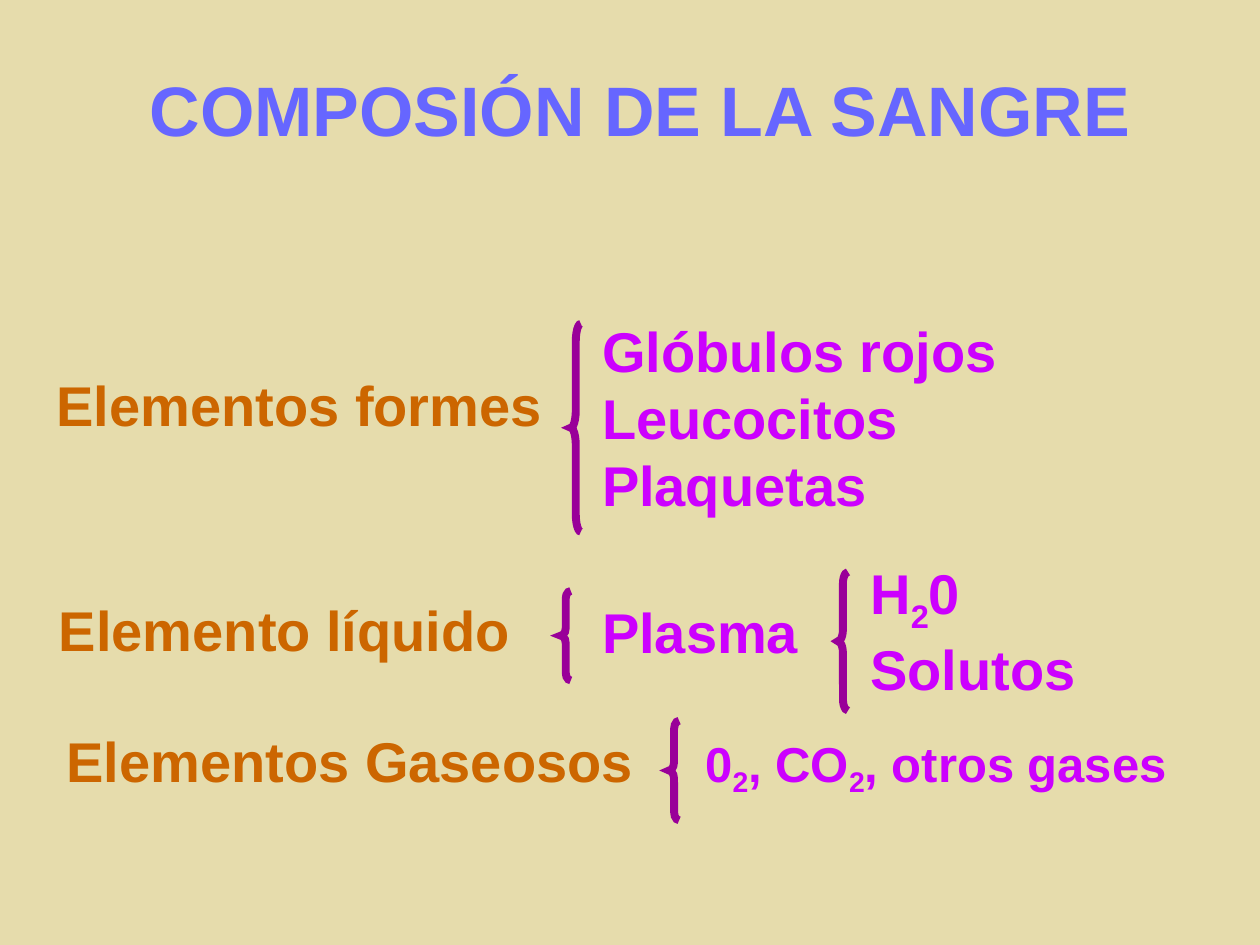
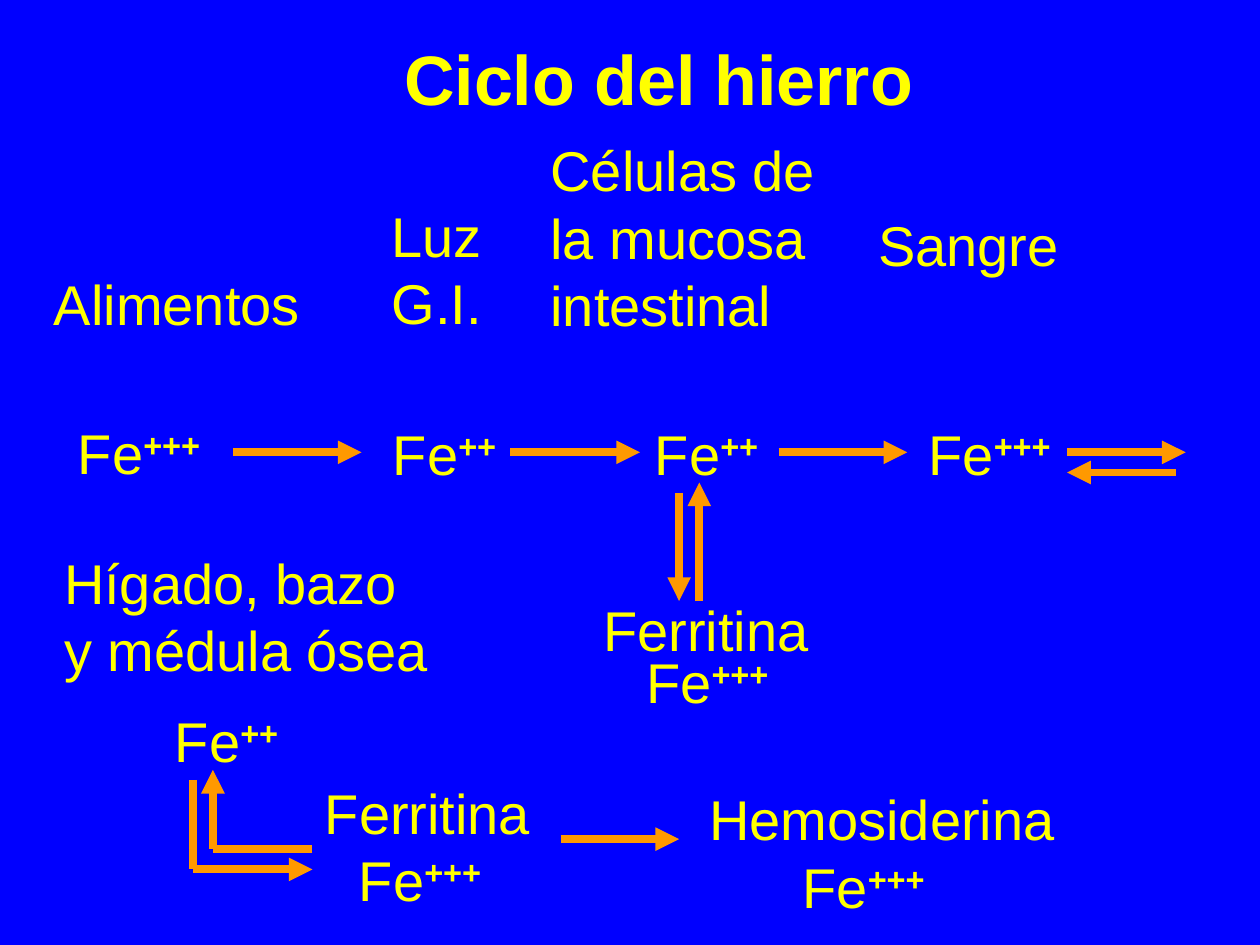
from lxml.etree import SubElement
from pptx import Presentation
from pptx.dml.color import RGBColor
from pptx.enum.shapes import MSO_CONNECTOR, MSO_SHAPE
from pptx.enum.text import MSO_AUTO_SIZE, MSO_VERTICAL_ANCHOR
from pptx.oxml.ns import qn
from pptx.util import Inches, Pt

FONT = "Arial"
TITLE_SIZE, BODY_SIZE, SMALL_SIZE = 40, 32, 28
LINE_WIDTH = 4.5
WIDTH_SLACK = 0.02  # keeps a label that just fits from breaking
COLOURS = {
    "sand": "E6DCAC", "periwinkle": "6666FF", "ochre": "CC6600",
    "violet": "CC00FF", "purple": "990099",
    "blue": "0000FF", "yellow": "FFFF00", "orange": "FF9900",
}

# A line of text is a list of (text, baseline shift in percent) runs.
WATER = [("H", 0), ("2", -25), ("0", 0)]
GASES = [("0", 0), ("2", -20), (", CO", 0), ("2", -20), (", otros gases", 0)]
FERROUS = [("Fe", 0), ("++", 30)]
FERRIC = [("Fe", 0), ("+++", 30)]

# Titles: left, top, width, text
BLOOD_TITLE = (1.09, 0.48, 8, "COMPOSIÓN DE LA SANGRE")
IRON_TITLE = (3.11, 0.23, 4.24, "Ciclo del hierro")

# Blood labels: left, top, width, size, colour, lines
BLOOD_LABELS = [
    (0.35, 2.89, 4.06, BODY_SIZE, "ochre", ["Elementos formes"]),
    (4.68, 2.46, 3.34, BODY_SIZE, "violet", ["Glóbulos rojos", "Leucocitos", "Plaquetas"]),
    (0.37, 4.68, 3.78, BODY_SIZE, "ochre", ["Elemento líquido"]),
    (4.68, 4.69, 1.76, BODY_SIZE, "violet", ["Plasma"]),
    (6.81, 4.38, 1.83, BODY_SIZE, "violet", [WATER, "Solutos"]),
    (0.43, 5.72, 4.7, BODY_SIZE, "ochre", ["Elementos Gaseosos"]),
    (5.5, 5.77, 3.86, SMALL_SIZE, "violet", [GASES]),
]
# Braces: left, top, height
BRACE_WIDTH = 0.08
BRACES = [(4.53, 2.57, 1.65), (4.45, 4.69, 0.71), (6.65, 4.54, 1.1), (5.31, 5.72, 0.79)]

# Iron labels: left, top, width, lines
ION_INDENT = 0.74
IRON_LABELS = [
    (0.33, 2.09, 2.15, ["Alimentos"]),
    (3.01, 1.55, 0.91, ["Luz", "G.I."]),
    (4.27, 1.03, 2.3, ["Células de", "la mucosa", "intestinal"]),
    (6.87, 1.62, 1.63, ["Sangre"]),
    (4.69, 4.68, 1.83, ["Ferritina"]),
    (0.41, 4.3, 3.09, ["Hígado, bazo", "y médula ósea"]),
    (2.48, 6.13, 1.83, ["Ferritina"]),
    (5.53, 6.18, 2.94, ["Hemosiderina", FERRIC]),
]
# Iron ions: left, top, ion
ION_WIDTHS = {"++": 1.02, "+++": 1.17}
IONS = [
    (0.52, 3.27, FERRIC), (3.02, 3.28, FERROUS), (5.1, 3.28, FERROUS), (7.27, 3.28, FERRIC),
    (5.03, 5.09, FERRIC), (1.29, 5.56, FERROUS), (2.75, 6.66, FERRIC),
]
# Routes: corner points, with an arrowhead at the last one
CYCLE_Y = 3.59
ROUTES = [
    *[[(start, CYCLE_Y), (end, CYCLE_Y)]
      for start, end in [(1.85, 2.87), (4.05, 5.08), (6.18, 7.2), (8.47, 9.41)]],
    [(9.33, 3.75), (8.47, 3.75)],
    [(5.39, 3.91), (5.39, 4.77)],
    [(5.55, 4.77), (5.55, 3.83)],
    [(1.53, 6.19), (1.53, 6.9), (2.48, 6.9)],
    [(2.48, 6.74), (1.69, 6.74), (1.69, 6.11)],
    [(4.45, 6.66), (5.39, 6.66)],
]


def rgb(colour):
    return RGBColor.from_string(COLOURS[colour])


def add_slide(presentation, background):
    slide = presentation.slides.add_slide(presentation.slide_layouts[6])
    slide.background.fill.solid()
    slide.background.fill.fore_color.rgb = rgb(background)
    return slide


def add_label(slide, left, top, width, size, colour, lines, bold=False, ion_indent=0):
    """Add a text box; ion_indent shifts ion lines that follow a name."""
    height = 0.1 + len(lines) * size / 60
    box = slide.shapes.add_textbox(Inches(left), Inches(top),
                                   Inches(width + WIDTH_SLACK), Inches(height))
    frame = box.text_frame
    frame.word_wrap = False
    frame.auto_size = MSO_AUTO_SIZE.SHAPE_TO_FIT_TEXT
    frame.vertical_anchor = MSO_VERTICAL_ANCHOR.TOP
    for index, line in enumerate(lines):
        paragraph = frame.add_paragraph() if index else frame.paragraphs[0]
        if index and ion_indent and line in (FERROUS, FERRIC):
            properties = paragraph._p.get_or_add_pPr()
            properties.set("marL", str(Inches(ion_indent)))
            properties.set("indent", "0")
        for text, shift in [(line, 0)] if isinstance(line, str) else line:
            run = paragraph.add_run()
            run.text = text
            run.font.name = FONT
            run.font.size = Pt(size)
            run.font.bold = bold or shift != 0
            run.font.color.rgb = rgb(colour)
            if shift:
                run.font._element.set("baseline", str(shift * 1000))


def add_title(slide, title, colour):
    left, top, width, text = title
    add_label(slide, left, top, width, TITLE_SIZE, colour, [text], bold=True)


def style_line(shape, colour):
    shape.line.color.rgb = rgb(colour)
    shape.line.width = Pt(LINE_WIDTH)
    return shape.line._get_or_add_ln()


def add_brace(slide, left, top, height):
    brace = slide.shapes.add_shape(MSO_SHAPE.LEFT_BRACE, Inches(left), Inches(top),
                                   Inches(BRACE_WIDTH), Inches(height))
    brace.adjustments[0] = height / 12 / BRACE_WIDTH
    brace.shadow.inherit = False
    brace.fill.background()
    SubElement(style_line(brace, "purple"), qn("a:miter"), lim="800000")


def add_route(slide, points):
    for start, end in zip(points, points[1:]):
        connector = slide.shapes.add_connector(
            MSO_CONNECTOR.STRAIGHT, *[Inches(value) for value in start + end])
        line = style_line(connector, "orange")
        if end == points[-1]:
            SubElement(line, qn("a:tailEnd"), type="triangle")
        SubElement(connector._element.spPr, qn("a:effectLst"))


def build_blood_slide(presentation):
    slide = add_slide(presentation, "sand")
    add_title(slide, BLOOD_TITLE, "periwinkle")
    for label in BLOOD_LABELS:
        add_label(slide, *label, bold=True)
    for brace in BRACES:
        add_brace(slide, *brace)


def build_iron_slide(presentation):
    slide = add_slide(presentation, "blue")
    add_title(slide, IRON_TITLE, "yellow")
    for left, top, width, lines in IRON_LABELS:
        add_label(slide, left, top, width, BODY_SIZE, "yellow", lines, ion_indent=ION_INDENT)
    for left, top, ion in IONS:
        charge = ion[1][0]
        add_label(slide, left, top, ION_WIDTHS[charge], BODY_SIZE, "yellow", [ion])
    for points in ROUTES:
        add_route(slide, points)


def main():
    presentation = Presentation()
    presentation.slide_width = Inches(10)
    presentation.slide_height = Inches(7.5)
    build_blood_slide(presentation)
    build_iron_slide(presentation)
    presentation.save("out.pptx")


if __name__ == "__main__":
    main()
